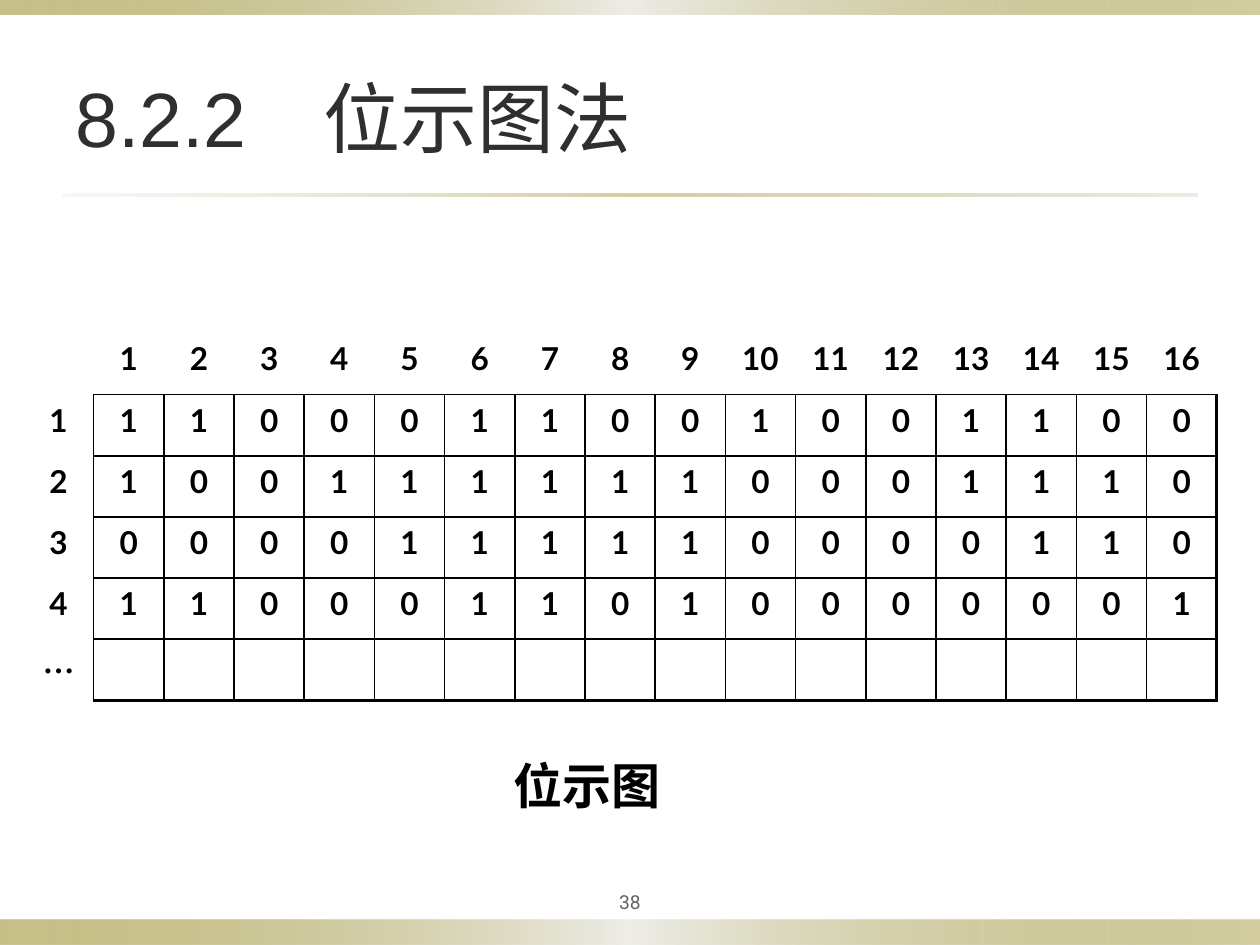
from lxml.etree import SubElement
from pptx import Presentation
from pptx.dml.color import RGBColor
from pptx.enum.shapes import MSO_SHAPE
from pptx.enum.text import MSO_ANCHOR, PP_ALIGN
from pptx.oxml.ns import qn
from pptx.util import Pt

CJK = "Noto Sans CJK SC"
BAND = [(0, "918415", 50), (50, "EEEDE8", 100), (100, "918415", 40)]
RULE = [(0, "DCD9CC", 20), (50, "918415", 40), (100, "DCD9CC", 50)]
BITS = [
    "1100011001001100",
    "1001111110001110",
    "0000111110000110",
    "1100011010000001",
]
COLUMNS = 16


def rgb(value):
    """Turn a hex string into a colour."""
    return RGBColor.from_string(value)


def style(p, size, font, color="000000", bold=False, align=PP_ALIGN.LEFT):
    """Format a paragraph and its runs."""
    p.alignment = align
    for r in p.runs:
        r.font.size, r.font.name, r.font.bold = Pt(size), font, bold
        r.font.color.rgb = rgb(color)
        SubElement(r.font._element, qn("a:ea")).set("typeface", CJK)


def add_gradient_bar(slide, left, top, width, height, stops):
    """Draw a borderless bar with a horizontal gradient."""
    sp = slide.shapes.add_shape(
        MSO_SHAPE.RECTANGLE, Pt(left), Pt(top), Pt(width), Pt(height))
    sp.shadow.inherit = False
    sp.line.fill.background()
    sp.fill.gradient()
    sp.fill.gradient_angle = 0
    stop_list = sp._element.spPr.find(qn("a:gradFill")).find(qn("a:gsLst"))
    for old in list(stop_list):
        stop_list.remove(old)
    for position, color, opacity in stops:
        stop = SubElement(stop_list, qn("a:gs"), pos=str(position * 1000))
        clr = SubElement(stop, qn("a:srgbClr"), val=color)
        SubElement(clr, qn("a:alpha"), val=str(opacity * 1000))


def add_title(slide, left, top, width, height, text):
    """Place and format the title placeholder."""
    sp = slide.shapes.title
    sp.left, sp.top, sp.width, sp.height = map(Pt, (left, top, width, height))
    tf = sp.text_frame
    tf.text = text
    tf.vertical_anchor = MSO_ANCHOR.MIDDLE
    style(tf.paragraphs[0], 44, "Arial", "2F2F2F")


def add_text(slide, left, top, width, height, text, indent=7.2, inset=3.6,
             anchor=MSO_ANCHOR.TOP, **look):
    """Add a one-paragraph text box."""
    box = slide.shapes.add_textbox(Pt(left), Pt(top), Pt(width), Pt(height))
    tf = box.text_frame
    tf.word_wrap = True
    tf.margin_left, tf.margin_right = Pt(indent), Pt(inset)
    tf.margin_top = tf.margin_bottom = Pt(3.6)
    tf.vertical_anchor = anchor
    tf.text = text
    style(tf.paragraphs[0], **look)


def set_borders(cell, **widths):
    """Set the four cell borders in points, with zero for none."""
    tcPr = cell._tc.get_or_add_tcPr()
    for side in "LRTB":
        width = widths[side]
        ln = SubElement(tcPr, qn(f"a:ln{side}"), w=str(Pt(width)))
        if width:
            fill = SubElement(ln, qn("a:solidFill"))
            SubElement(fill, qn("a:srgbClr"), val="000000")
        else:
            SubElement(ln, qn("a:noFill"))


def add_bitmap_table(slide, left, top, width, height):
    """Build the bitmap grid with its row and column numbers."""
    header = [""] + [str(n + 1) for n in range(COLUMNS)]
    body = [[str(n), *bits] for n, bits in enumerate(BITS, 1)]
    rows = [header, *body, ["…"] + [""] * COLUMNS]
    last = len(rows) - 1
    table = slide.shapes.add_table(
        len(rows), len(header), Pt(left), Pt(top), Pt(width), Pt(height)).table
    table.first_row = table.horz_banding = False
    for column in table.columns:
        column.width = Pt(width / len(header))
    for i, values in enumerate(rows):
        table.rows[i].height = Pt(height / len(rows))
        for j, value in enumerate(values):
            cell = table.cell(i, j)
            inside = i > 0 and j > 0
            set_borders(
                cell,
                L=1 if inside else 0,
                R=0 if i == 0 else 2.25 if j == COLUMNS else 1,
                T=1 if inside else 0,
                B=0 if j == 0 else 2.25 if i == last else 1)
            cell.fill.background()
            cell.text = value
            font = "Times New Roman" if value == "…" else "Lato"
            style(cell.text_frame.paragraphs[0], 18, font, bold=True,
                  align=PP_ALIGN.CENTER)


def main():
    """Build the slide and save it."""
    prs = Presentation()
    prs.slide_width, prs.slide_height = Pt(720), Pt(540)
    slide = prs.slides.add_slide(prs.slide_layouts[5])
    add_gradient_bar(slide, 0, 525.6, 720, 14.4, BAND)
    add_gradient_bar(slide, 0, 0, 720, 8.5, BAND)
    add_gradient_bar(slide, 36, 110.8, 648, 1.5, RULE)
    add_title(slide, 36, 21.6, 648, 90, "8.2.2　位示图法")
    add_text(slide, 324, 504, 72, 22.3, "38", indent=3.6,
             anchor=MSO_ANCHOR.MIDDLE, size=11, font="Roboto",
             color="636363", align=PP_ALIGN.CENTER)
    add_bitmap_table(slide, 13.4, 190.6, 682, 209.7)
    add_text(slide, 273.6, 428.4, 162, 41, "位示图", indent=20,
             size=28, font=CJK, bold=True)
    prs.save("out.pptx")


if __name__ == "__main__":
    main()
